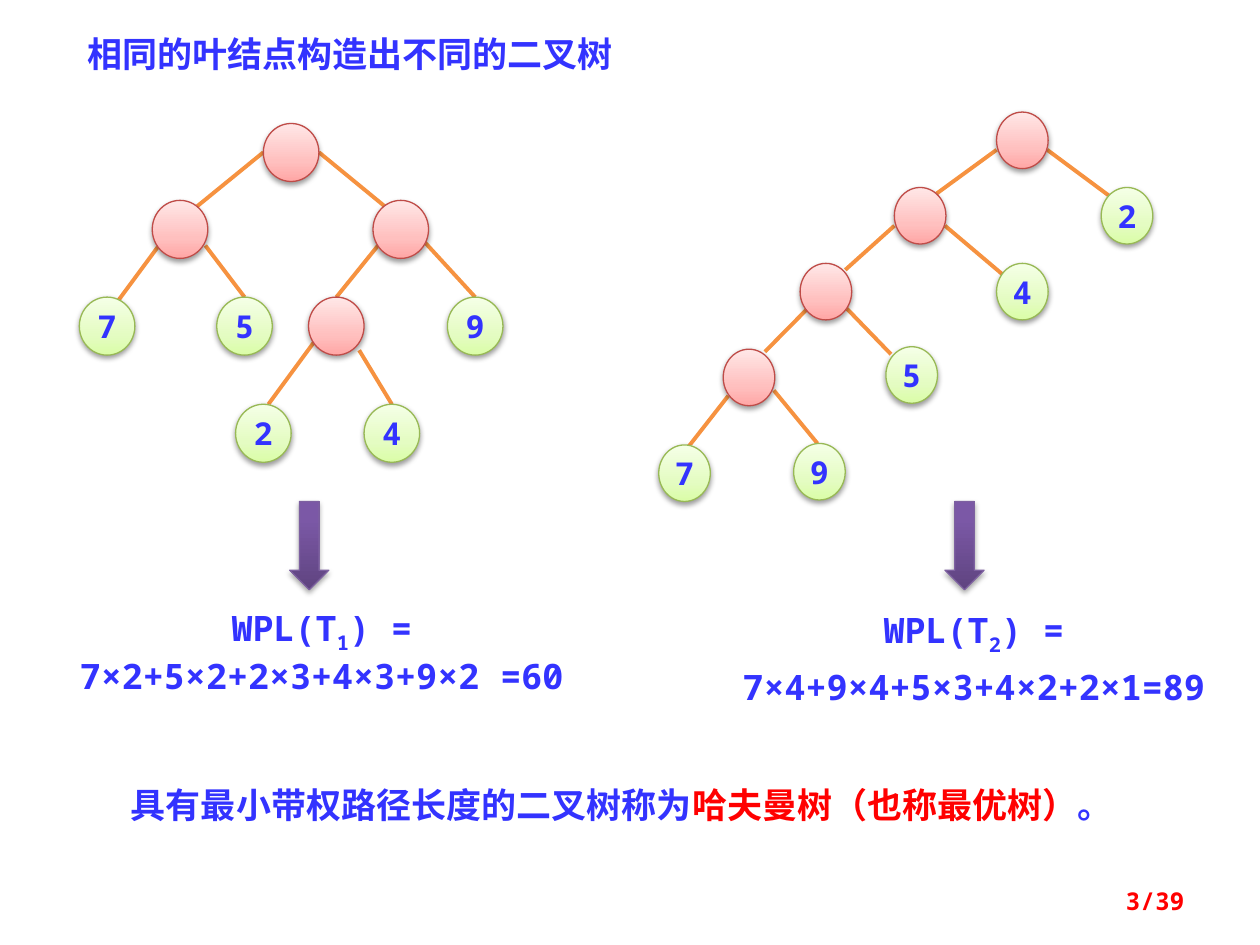
"""Builds a slide comparing two binary trees that share the same weighted leaves."""
from copy import deepcopy

from lxml import etree
from pptx import Presentation, util as u
from pptx.dml.color import RGBColor
from pptx.enum import shapes, text
from pptx.oxml import ns

BLUE = RGBColor(0x33, 0x33, 0xFF)
RED = RGBColor(0xFF, 0x00, 0x00)
ORANGE = RGBColor(0xF6, 0x92, 0x40)
MONO, SERIF = "Noto Sans Mono", "Times New Roman"
LEFT, CENTER, RIGHT = text.PP_ALIGN.LEFT, text.PP_ALIGN.CENTER, text.PP_ALIGN.RIGHT
TOP, MIDDLE = text.MSO_ANCHOR.TOP, text.MSO_ANCHOR.MIDDLE


def look(stops, outline, opacity, distance):
    return {"stops": [(at, RGBColor.from_string(c)) for at, c in stops],
            "outline": RGBColor.from_string(outline),
            "opacity": opacity, "distance": distance}


INNER = look([(0, "FFA6A5"), (0.35, "FFC0BF"), (1, "FFE7E7")], "BF4C48", 38, 1.6)
LEAF = look([(0, "DAFDA7"), (0.35, "E4FCC2"), (1, "F5FFE7")], "98B955", 38, 1.6)
ARROW = look([(0, "5F4480"), (0.8, "7B58A6"), (1, "7C57A8")], "7D60A0", 35, 1.8)

TITLE = "相同的叶结点构造出不同的二叉树"
TREES = [
    {"node_size": (1.12, 1.17),
     "nodes": [  # weight, left, top, branch from parent
         ("", 5.31, 2.49, None),
         ("", 3.07, 4.04, (5.31, 3.07, 3.96, 4.17)),
         ("", 7.52, 4.04, (6.43, 3.07, 7.77, 4.17)),
         ("7", 1.6, 5.99, (3.18, 4.98, 2.39, 6.05)),
         ("5", 4.37, 5.99, (4.14, 4.95, 4.93, 5.99)),
         ("", 6.22, 5.99, (7.62, 4.95, 6.78, 5.99)),
         ("9", 9.02, 5.99, (8.56, 4.88, 9.58, 5.99)),
         ("2", 4.75, 8.15, (6.32, 6.91, 5.41, 8.15)),
         ("4", 7.34, 8.15, (7.24, 7.06, 7.9, 8.15))],
     "arrow_left": 5.84,
     "formula_box": (0.99, 12.19, 11, 2.06),
     "index": "1", "sum": "7×2+5×2+2×3+4×3+9×2 =60",
     "spacing": {"line_spacing": 0.8}, "gap": 8},
    {"node_size": (1.04, 1.14),
     "nodes": [
         ("", 20.09, 2.26, None),
         ("", 18.03, 3.78, (20.09, 3.02, 18.87, 3.91)),
         ("2", 22.2, 3.78, (21.11, 3.02, 22.35, 3.94)),
         ("", 16.13, 5.31, (18.03, 4.55, 17.04, 5.44)),
         ("4", 20.09, 5.31, (19.05, 4.55, 20.22, 5.54)),
         ("", 14.58, 7.04, (16.28, 6.22, 15.42, 7.09)),
         ("5", 17.86, 6.99, (17.07, 6.22, 17.96, 7.14)),
         ("7", 13.28, 8.97, (14.68, 7.98, 13.89, 8.99)),
         ("9", 16, 8.94, (15.6, 7.87, 16.48, 8.94))],
     "arrow_left": 19.05,
     "formula_box": (14.68, 11.96, 9.91, 2.24),
     "index": "2", "sum": "7×4+9×4+5×3+4×2+2×1=89",
     "spacing": {"line_spacing": 1.2}, "gap": 0},
]
CONCLUSION = [("具有最小带权路径长度的二叉树称为", BLUE),
              ("哈夫曼树（也称最优树）", RED), ("。", BLUE)]
PAGE = "3/39"


def apply(target, values):
    for key, value in values.items():
        setattr(target, key, value)


def cm(*lengths):
    return [u.Cm(length) for length in lengths]


def add_run(paragraph, words, color=BLUE, size=20, font=MONO):
    run = paragraph.add_run()
    run.text = words
    apply(run.font, {"name": font, "size": u.Pt(size), "bold": True})
    run.font.color.rgb = color
    return run


def add_text_box(slide, box, anchor=TOP):
    frame = slide.shapes.add_textbox(*cm(*box)).text_frame
    apply(frame, {"word_wrap": True, "vertical_anchor": anchor})
    return frame


def add_glossy(slide, kind, box, style):
    shape = slide.shapes.add_shape(kind, *cm(*box))
    shape.fill.gradient()
    shape.fill.gradient_angle = 90
    stop_list = shape.element.spPr.find(".//" + ns.qn("a:gsLst"))
    stop_list.insert(1, deepcopy(stop_list[0]))
    for stop, (position, color) in zip(shape.fill.gradient_stops, style["stops"]):
        stop.position = position
        stop.color.rgb = color
    shape.line.color.rgb = style["outline"]
    shape.line.width = u.Pt(0.75)
    shape.shadow.inherit = False
    effects = shape.element.spPr.find(ns.qn("a:effectLst"))
    shadow = etree.SubElement(effects, ns.qn("a:outerShdw"), {
        "blurRad": str(u.Pt(3.1)), "dist": str(u.Pt(style["distance"])),
        "dir": "5400000", "rotWithShape": "0"})
    black = etree.SubElement(shadow, ns.qn("a:srgbClr"), val="000000")
    etree.SubElement(black, ns.qn("a:alpha"), val=str(style["opacity"] * 1000))
    return shape


def add_branch(slide, ends):
    branch = slide.shapes.add_connector(shapes.MSO_CONNECTOR.STRAIGHT, *cm(*ends))
    branch.line.color.rgb = ORANGE
    branch.line.width = u.Pt(2.25)
    etree.SubElement(branch.element.spPr, ns.qn("a:effectLst"))


def add_tree(slide, tree):
    for *_, ends in tree["nodes"]:
        if ends:
            add_branch(slide, ends)
    for weight, left, top, _ in tree["nodes"]:
        node = add_glossy(slide, shapes.MSO_SHAPE.OVAL, (left, top, *tree["node_size"]),
                          LEAF if weight else INNER)
        if weight:
            apply(node.text_frame, {"word_wrap": False, "vertical_anchor": MIDDLE})
            label = node.text_frame.paragraphs[0]
            label.alignment = CENTER
            add_run(label, weight, size=18)


def add_formula(slide, tree):
    frame = add_text_box(slide, tree["formula_box"])
    heading, total = frame.paragraphs[0], frame.add_paragraph()
    for line in (heading, total):
        apply(line, {"alignment": CENTER, **tree["spacing"]})
    total.space_before = u.Pt(tree["gap"])
    add_run(heading, "WPL(T")
    index = add_run(heading, tree["index"])
    index.font._element.set("baseline", "-25000")
    add_run(heading, ") =")
    add_run(total, tree["sum"])
    add_glossy(slide, shapes.MSO_SHAPE.DOWN_ARROW,
               (tree["arrow_left"], 10.11, 0.79, 1.78), ARROW)


def main():
    deck = Presentation()
    apply(deck, {"slide_width": u.Cm(25.4), "slide_height": u.Cm(19.05)})
    slide = deck.slides.add_slide(deck.slide_layouts[5])

    title = slide.shapes.title
    apply(title, dict(zip(("left", "top", "width", "height"), cm(1.5, 0.53, 18.59, 1.12))))
    apply(title.text_frame, {"word_wrap": True, "vertical_anchor": TOP,
                             "auto_size": text.MSO_AUTO_SIZE.NONE})
    title_line = title.text_frame.paragraphs[0]
    apply(title_line, {"alignment": LEFT, "space_before": u.Pt(0)})
    add_run(title_line, TITLE, font=SERIF)

    for tree in TREES:
        add_tree(slide, tree)
    for tree in TREES:
        add_formula(slide, tree)

    conclusion = add_text_box(slide, (2.39, 15.67, 21.03, 1.12)).paragraphs[0]
    for words, color in CONCLUSION:
        add_run(conclusion, words, color)

    page = add_text_box(slide, (18.21, 17.65, 5.92, 1.02), MIDDLE).paragraphs[0]
    page.alignment = RIGHT
    add_run(page, PAGE, RED, 14)

    deck.save("out.pptx")


if __name__ == "__main__":
    main()
